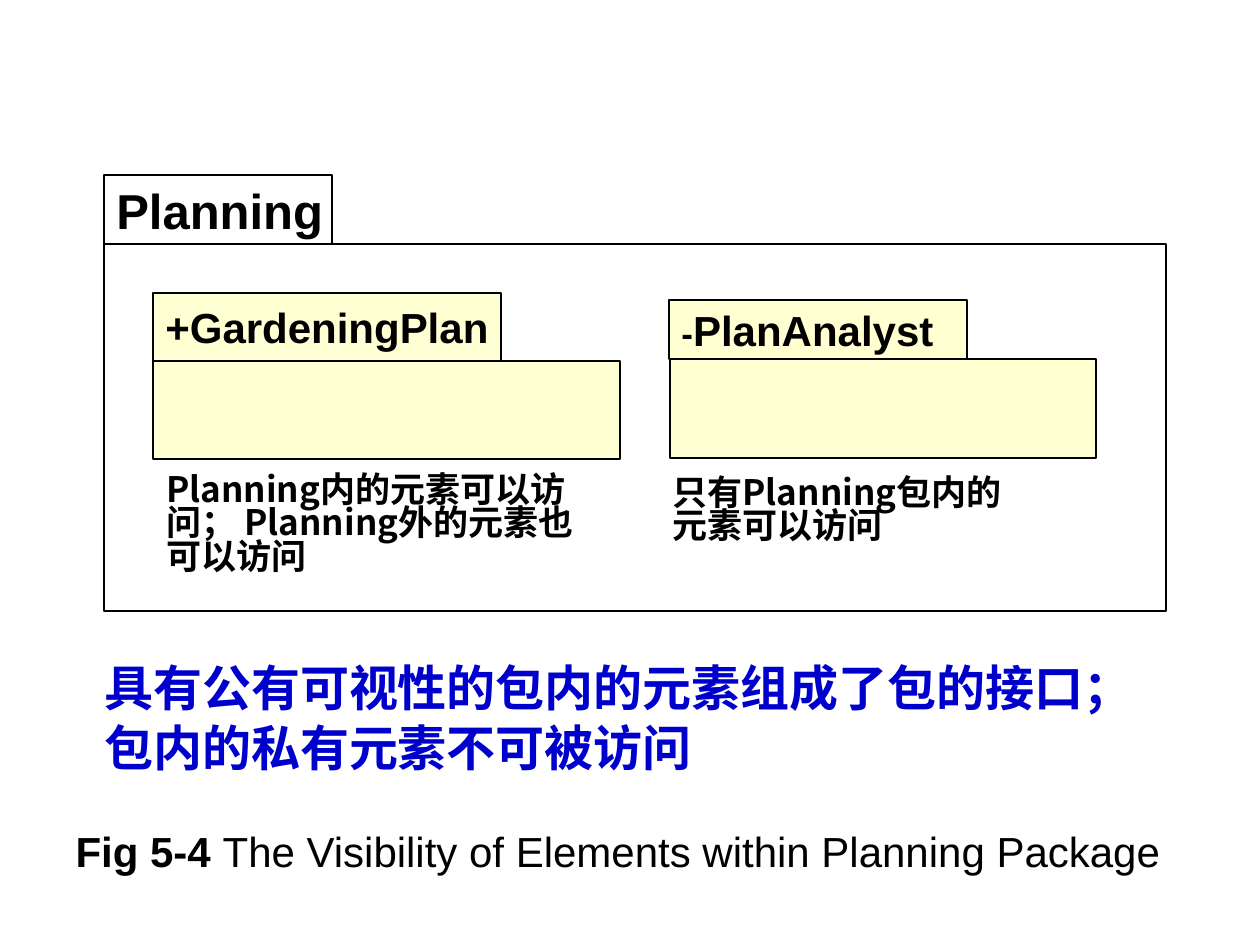
from dataclasses import dataclass
from typing import Optional

import pptx
import pptx.dml.color
import pptx.enum.shapes
import pptx.enum.text
import pptx.oxml
import pptx.oxml.ns
import pptx.util
from lxml import etree

PX_PER_INCH = 126
LATIN, CJK = "Arial", "Noto Sans CJK SC"
BLACK, WHITE, BLUE, YELLOW = "000000", "FFFFFF", "0000CC", "FFFF99"


@dataclass(frozen=True)
class Run:
    text: str
    size: int
    bold: bool = True


@dataclass(frozen=True)
class Box:
    left: int
    top: int
    width: int
    height: int


@dataclass(frozen=True)
class Package:
    tab: Box
    body: Box
    label: tuple[Run, ...]
    fill: str
    opacity: int = 100


@dataclass(frozen=True)
class Note:
    box: Box
    lines: tuple[str, ...]
    size: int
    color: str
    before: int = 0
    wrap: bool = True


def px(n: int) -> int:
    return pptx.util.Emu(round(n * 914400 / PX_PER_INCH))


def rgb(color: str) -> pptx.dml.color.RGBColor:
    return pptx.dml.color.RGBColor.from_string(color)


def place(s, box: Box) -> None:
    s.left, s.top = px(box.left), px(box.top)
    s.width, s.height = px(box.width), px(box.height)


def write(tf, paragraphs, *, font: str = LATIN, color: str = BLACK,
          spacing: Optional[float] = None, before: int = 0,
          wrap: bool = True) -> None:
    tf.word_wrap = wrap
    for i, runs in enumerate(paragraphs):
        p = tf.add_paragraph() if i else tf.paragraphs[0]
        p.alignment = pptx.enum.text.PP_ALIGN.LEFT
        p.line_spacing = spacing
        p.space_before = pptx.util.Pt(before if i else 0)
        for run in runs:
            r = p.add_run()
            r.text = run.text
            r.font.size = pptx.util.Pt(run.size)
            r.font.bold = run.bold
            r.font.name = font
            r.font.color.rgb = rgb(color)
            if font == CJK:
                ea = etree.SubElement(r.font._element, pptx.oxml.ns.qn("a:ea"))
                ea.set("typeface", font)


def add_rect(slide, box: Box, fill: str, opacity: int):
    s = slide.shapes.add_shape(
        pptx.enum.shapes.MSO_SHAPE.RECTANGLE, 0, 0, 0, 0)
    place(s, box)
    s.shadow.inherit = False
    s.fill.solid()
    s.fill.fore_color.rgb = rgb(fill)
    if opacity < 100:
        clr = s.fill._xPr.find(".//" + pptx.oxml.ns.qn("a:srgbClr"))
        alpha = etree.SubElement(clr, pptx.oxml.ns.qn("a:alpha"))
        alpha.set("val", str(opacity * 1000))
    s.line.color.rgb = rgb(BLACK)
    s.line.width = pptx.util.Pt(0.75)
    return s


def add_package(slide, package: Package) -> None:
    add_rect(slide, package.body, package.fill, package.opacity)
    tab = add_rect(slide, package.tab, package.fill, package.opacity)
    tab.text_frame.vertical_anchor = pptx.enum.text.MSO_ANCHOR.MIDDLE
    write(tab.text_frame, [package.label], wrap=False)


def add_note(slide, note: Note) -> None:
    s = slide.shapes.add_textbox(0, 0, 0, 0)
    place(s, note.box)
    s.text_frame.auto_size = pptx.enum.text.MSO_AUTO_SIZE.SHAPE_TO_FIT_TEXT
    write(s.text_frame, [(Run(line, note.size),) for line in note.lines],
          font=CJK, color=note.color, spacing=0.8, before=note.before,
          wrap=note.wrap)


def add_caption(slide) -> None:
    s = slide.placeholders[1]
    place(s, Box(63, 825, 1134, 74))
    tf = s.text_frame
    tf.auto_size = pptx.enum.text.MSO_AUTO_SIZE.NONE
    pPr = tf.paragraphs[0]._p.get_or_add_pPr()
    pPr.set("marL", str(px(48)))
    pPr.set("indent", str(-px(48)))
    etree.SubElement(pPr, pptx.oxml.ns.qn("a:buNone"))
    write(tf, [(
        Run("Fig 5-4 ", 24),
        Run("The Visibility of Elements within Planning Package", 24, False),
    )], spacing=0.9)


PACKAGES = (
    Package(Box(104, 175, 228, 69), Box(104, 244, 1062, 367),
            (Run("Planning", 28),), WHITE),
    Package(Box(153, 293, 348, 68), Box(153, 361, 467, 98),
            (Run("+GardeningPlan", 24),), YELLOW, 42),
    Package(Box(669, 300, 298, 59), Box(670, 359, 426, 99),
            (Run("-", 20), Run("PlanAnalyst", 24)), YELLOW, 45),
)

NOTES = (
    Note(Box(92, 663, 1052, 120),
         ("具有公有可视性的包内的元素组成了包的接口；", "包内的私有元素不可被访问"),
         28, BLUE, before=7, wrap=False),
    Note(Box(154, 469, 456, 113),
         ("Planning内的元素可以访问； Planning外的元素也可以访问",), 20, BLACK),
    Note(Box(660, 472, 357, 81),
         ("只有Planning包内的元素可以访问",), 20, BLACK),
)


def main() -> None:
    prs = pptx.Presentation()
    prs.slide_width, prs.slide_height = px(1260), px(945)
    slide = prs.slides.add_slide(prs.slide_layouts[1])
    title = slide.shapes.title._element
    title.getparent().remove(title)
    add_caption(slide)
    for package in PACKAGES:
        add_package(slide, package)
    for note in NOTES:
        add_note(slide, note)
    prs.save("out.pptx")


if __name__ == "__main__":
    main()
